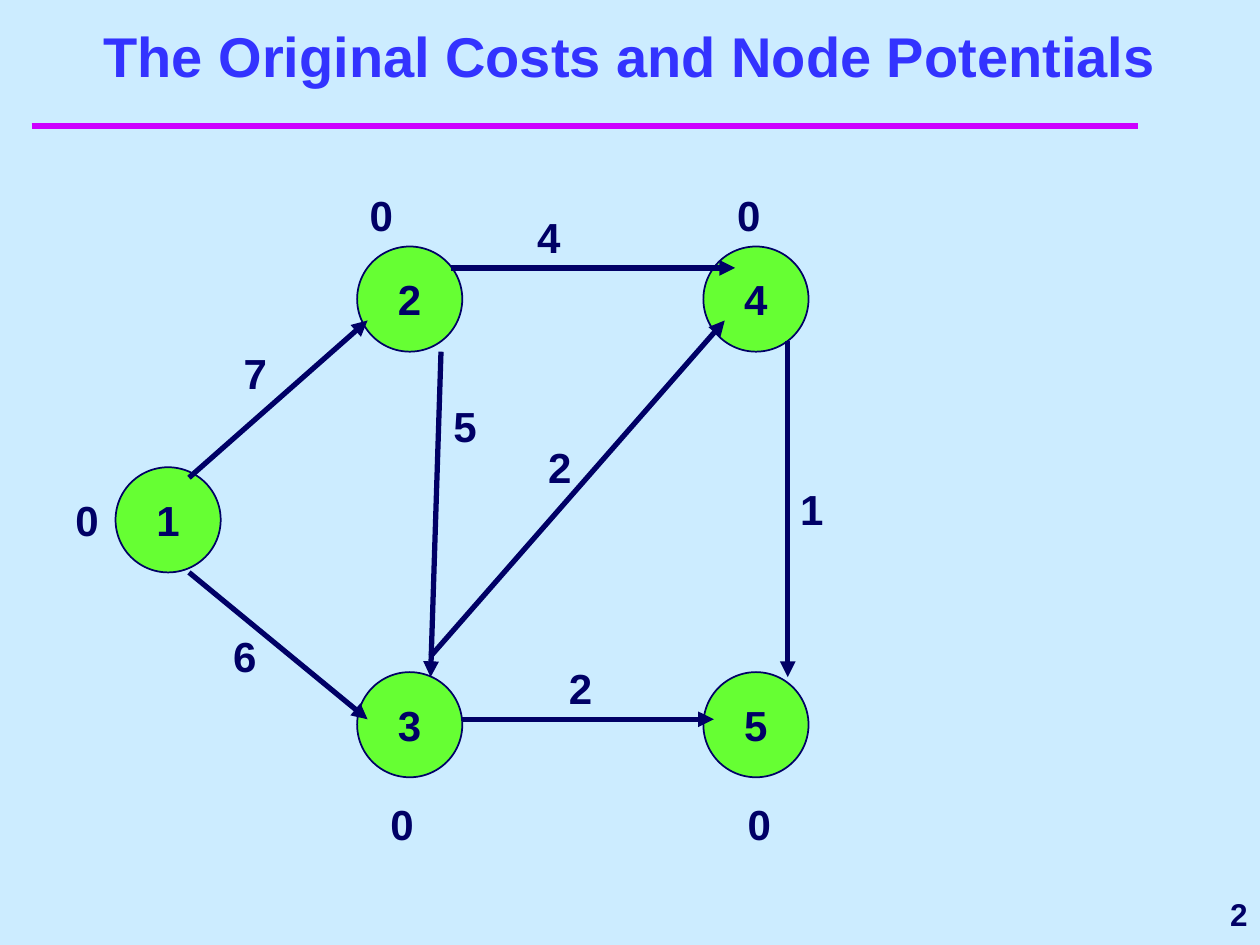
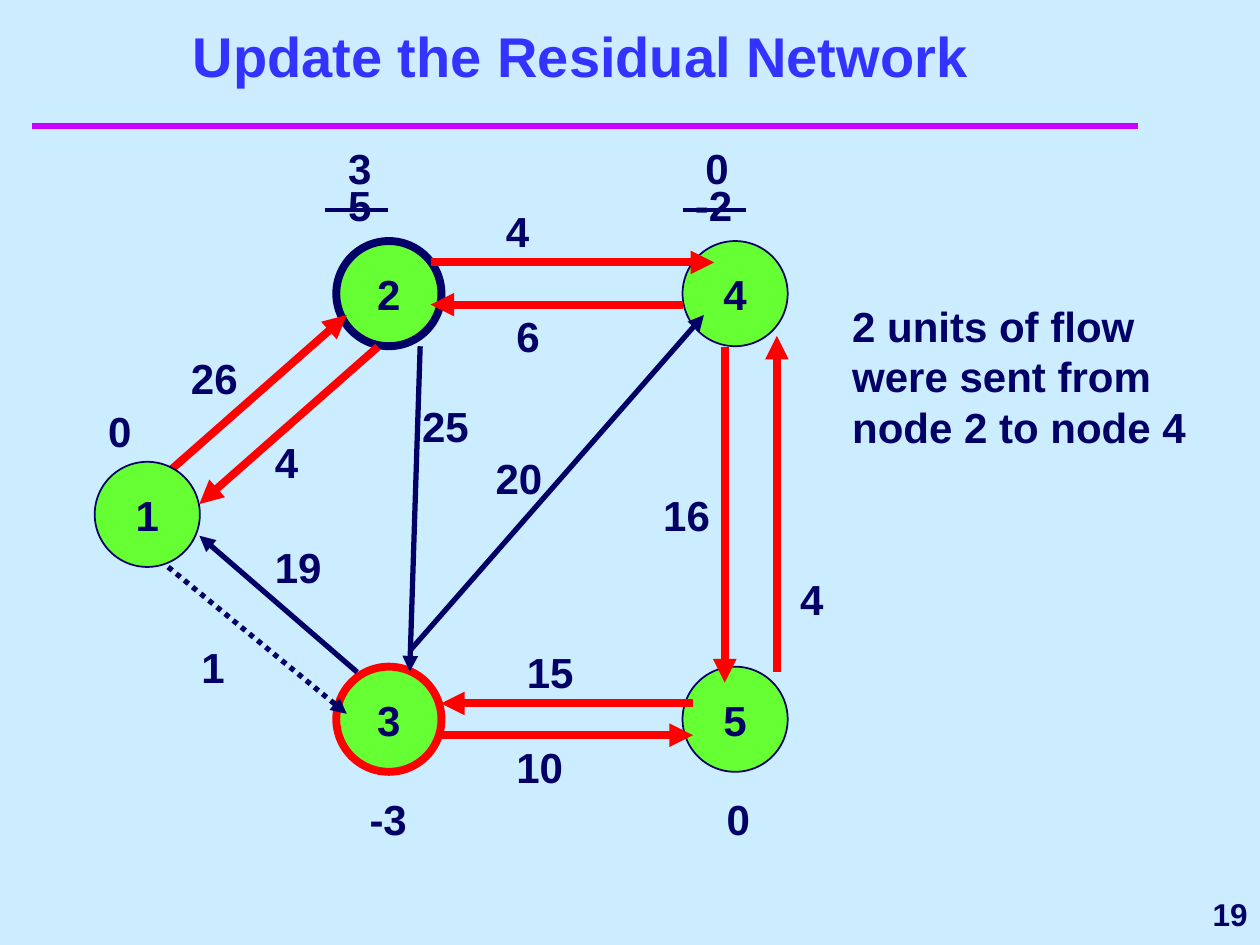
from dataclasses import dataclass

from pptx import Presentation
from pptx.dml.color import RGBColor
from pptx.enum.dml import MSO_LINE_DASH_STYLE as Dash
from pptx.enum.shapes import MSO_CONNECTOR as Connector, MSO_SHAPE as Shape
from pptx.enum.text import MSO_ANCHOR as Anchor, MSO_AUTO_SIZE as AutoSize, PP_ALIGN as Align
from pptx.oxml.ns import qn
from pptx.util import Cm, Pt
from lxml.etree import SubElement


@dataclass(frozen=True)
class Theme:
    font: str = "Arial"
    background: str = "CCECFF"
    rule: str = "CC00FF"
    title: str = "3333FF"
    ink: str = "000066"
    node: str = "66FF33"
    highlight: str = "FF0000"
    title_size: float = 32
    body_size: float = 24
    number_size: float = 18
    thin: float = 1
    strike: float = 2.25
    arc: float = 3
    thick: float = 4.5
    rule_width: float = 4


THEME = Theme()
PLAIN = (THEME.ink, THEME.arc)
CHANGED = (THEME.highlight, THEME.thick)

NODE_SIZE = 2.12
NODES = {"1": (2.33, 9.42), "2": (7.2, 4.97), "3": (7.2, 13.55),
         "5": (14.18, 13.55), "4": (14.18, 4.97)}
ARCS = {
    "1-2": (3.81, 9.63, 7.41, 6.46),
    "2-4": (9.1, 5.4, 14.82, 5.4),
    "3-4": (8.68, 13.23, 14.61, 6.46),
    "1-3": (3.81, 11.54, 7.41, 14.5),
    "2-3": (8.89, 7.09, 8.68, 13.65),
}
RESIDUAL_SHIFT = (-0.42, -0.11)


def color(value):
    return RGBColor.from_string(value)


def write(shape, text, size=THEME.body_size, ink=THEME.ink,
          align=Align.LEFT, anchor=Anchor.TOP, wrap=True):
    frame = shape.text_frame
    frame.word_wrap = wrap
    frame.vertical_anchor = anchor
    para = frame.paragraphs[0]
    para.text = text
    para.alignment = align
    para.font.name = THEME.font
    para.font.size = Pt(size)
    para.font.bold = True
    para.font.color.rgb = color(ink)


def add_text(slide, text, left, top, width, height, **style):
    box = slide.shapes.add_textbox(Cm(left), Cm(top), Cm(width), Cm(height))
    write(box, text, **style)
    return box


def add_label(slide, text, left, top, width=1.7, height=1.27):
    box = add_text(slide, text, left, top, width, height)
    box.text_frame.auto_size = AutoSize.SHAPE_TO_FIT_TEXT


def add_line(slide, ends, ink, width):
    line = slide.shapes.add_connector(Connector.STRAIGHT, *map(Cm, ends))
    line.line.color.rgb = color(ink)
    line.line.width = Pt(width)
    SubElement(line._element.spPr, qn("a:effectLst"))
    return line


def add_arc(slide, ends, look=PLAIN, dash=None):
    arc = add_line(slide, ends, *look)
    if dash:
        arc.line.dash_style = dash
    SubElement(arc.line._get_or_add_ln(), qn("a:tailEnd"), type="triangle")


def add_node(slide, number, shift=(0, 0), outline=(THEME.ink, THEME.thin)):
    left, top = (place + move for place, move in zip(NODES[number], shift))
    node = slide.shapes.add_shape(Shape.OVAL, Cm(left), Cm(top), Cm(NODE_SIZE), Cm(NODE_SIZE))
    node.shadow.inherit = False
    node.fill.solid()
    node.fill.fore_color.rgb = color(THEME.node)
    ink, width = outline
    node.line.color.rgb = color(ink)
    node.line.width = Pt(width)
    write(node, number, align=Align.CENTER, anchor=Anchor.MIDDLE, wrap=False)


def add_page(deck, title, title_width, number):
    page = deck.slides.add_slide(deck.slide_layouts[6])
    add_line(page, (0.64, 2.54, 22.94, 2.54), THEME.rule, THEME.rule_width)
    add_text(page, title, 1.06, 0.85, title_width, 1.06, size=THEME.title_size,
             ink=THEME.title, align=Align.CENTER, anchor=Anchor.BOTTOM)
    add_text(page, number, 20.53, 17.78, 4.87, 1.27, size=THEME.number_size,
             align=Align.RIGHT, anchor=Anchor.MIDDLE)
    return page


def build_costs(deck):
    page = add_page(deck, "The Original Costs and Node Potentials", 23.28, "2")
    for number in NODES:
        add_node(page, number)
    for ends in ARCS.values():
        add_arc(page, ends)
    add_arc(page, (15.88, 6.88, 15.88, 13.65))
    add_arc(page, (9.31, 14.5, 14.39, 14.5))

    costs = [("4", 10.58, 4.13, 1.06), ("1", 15.88, 9.63, 1.06), ("2", 10.8, 8.78, 1.48),
             ("2", 11.22, 13.23, 1.48), ("5", 8.89, 7.94), ("6", 4.45, 12.59, 2.96),
             ("7", 4.66, 6.88, 2.96)]
    for cost in costs:
        add_label(page, *cost)
    potentials = [(1.27, 9.84), (7.2, 3.7), (14.61, 3.7), (14.82, 15.98), (7.62, 15.98)]
    for left, top in potentials:
        add_label(page, "0", left, top)


def build_residual(deck):
    page = add_page(deck, "Update the Residual Network", 21.29, "19")
    outlines = {"2": (THEME.ink, THEME.thick), "3": CHANGED}
    for number in "2354":
        add_node(page, number, RESIDUAL_SHIFT, outlines.get(number, (THEME.ink, THEME.thin)))
    for name, ends in ARCS.items():
        shifted = [place + move for place, move in zip(ends, RESIDUAL_SHIFT * 2)]
        add_arc(page, shifted, CHANGED if name in ("1-2", "2-4") else PLAIN,
                Dash.ROUND_DOT if name == "1-3" else None)
    add_node(page, "1", RESIDUAL_SHIFT)

    add_arc(page, (7.2, 13.55, 4.02, 10.8))
    changed_arcs = [(14.61, 6.99, 14.61, 13.76), (8.89, 14.82, 13.97, 14.82),
                    (13.97, 14.18, 8.89, 14.18), (15.66, 13.55, 15.66, 6.77),
                    (13.76, 6.14, 8.68, 6.14), (7.62, 6.99, 4.02, 10.16)]
    for ends in changed_arcs:
        add_arc(page, ends, CHANGED)

    capacities = [("16", 13.12, 9.74), ("20", 9.74, 9), ("10", 10.16, 14.82),
                  ("25", 8.26, 7.94), ("26", 3.6, 6.99), ("4", 9.95, 4.02),
                  ("15", 10.37, 12.91), ("4", 15.88, 11.43), ("6", 10.16, 6.14),
                  ("4", 5.29, 8.68)]
    for text, left, top in capacities:
        add_label(page, text, left, top, 2.96)
    add_label(page, "1", 3.81, 12.81)
    add_label(page, "19", 5.29, 10.8)

    potentials = [("5", 6.77, 3.49), ("-2", 13.76, 3.49), ("3", 6.77, 2.75),
                  ("0", 13.97, 2.75), ("-3", 7.2, 15.88), ("0", 14.4, 15.88),
                  ("0", 1.93, 8.04)]
    for text, left, top in potentials:
        add_label(page, text, left, top, 1.91)
    for left in (6.56, 13.76):
        add_line(page, (left, 4.23, left + 1.27, 4.23), THEME.ink, THEME.strike)

    add_label(page, "2 units of flow were sent from node 2 to node 4", 16.93, 5.93, 7.83, 3.31)


def main():
    deck = Presentation()
    deck.slide_width = Cm(25.4)
    deck.slide_height = Cm(19.05)
    backdrop = deck.slide_master.background.fill
    backdrop.solid()
    backdrop.fore_color.rgb = color(THEME.background)
    build_costs(deck)
    build_residual(deck)
    deck.save("out.pptx")


if __name__ == "__main__":
    main()
